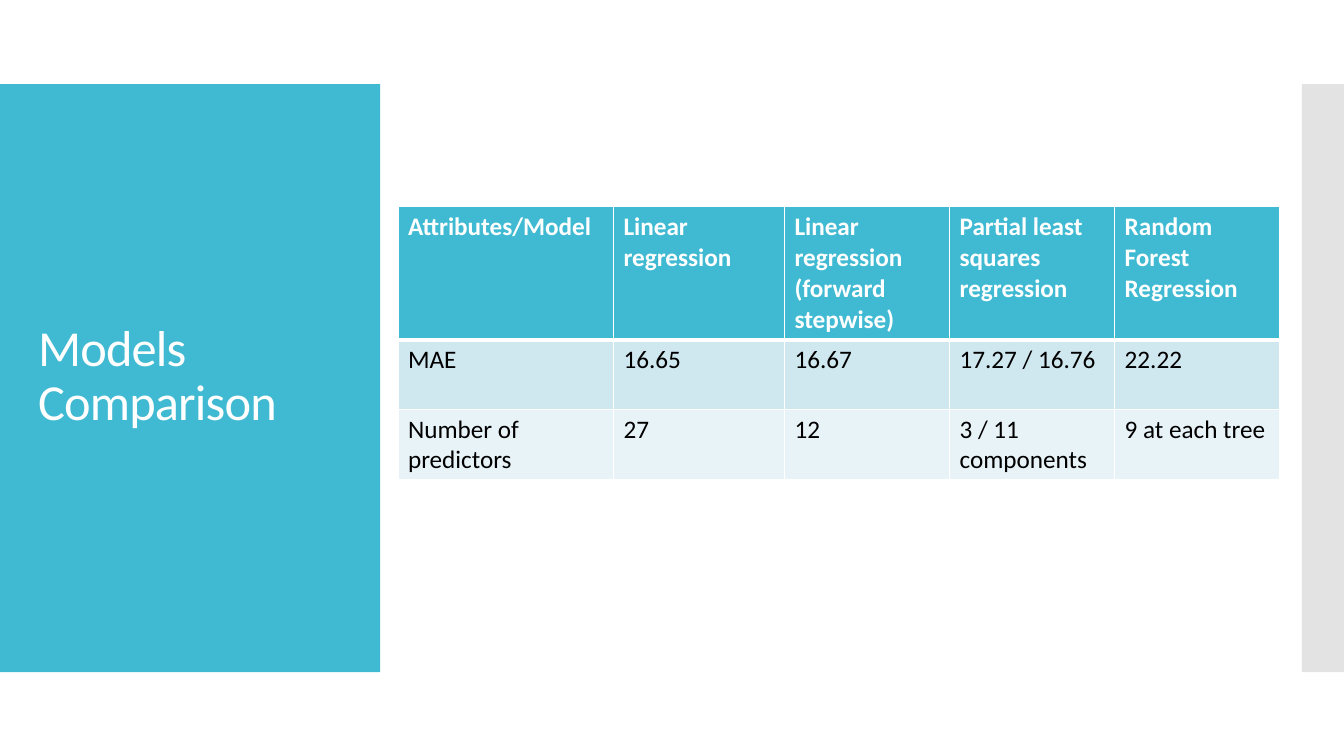
from lxml import etree
from pptx import Presentation
from pptx.dml.color import RGBColor
from pptx.enum.shapes import MSO_SHAPE
from pptx.enum.text import MSO_ANCHOR
from pptx.oxml.ns import qn
from pptx.util import Cm, Pt

RECTANGLE = MSO_SHAPE.RECTANGLE
MIDDLE = MSO_ANCHOR.MIDDLE

TITLE = "Models Comparison"
MODEL_ROWS = [
    ["Attributes/Model", "Linear regression", "Linear regression (forward stepwise)",
     "Partial least squares regression", "Random Forest Regression"],
    ["MAE", "16.65", "16.67", "17.27 / 16.76", "22.22"],
    ["Number of predictors", "27", "12", "3 / 11 components", "9 at each tree"],
]

THEME = {
    "font": "Calibri",
    "title_size": 36,
    "table_size": 18,
    "accent": "40BAD2",
    "side_bar": "C8C8C8",
    "light": "FFFFFF",
    "dark": "000000",
    "row_fills": ["40BAD2", "CFE7EE", "E8F3F7"],
    "thin_border": 1,
    "header_border": 3,
}

SLIDE_WIDTH, SLIDE_HEIGHT = 33.87, 19.05
BAND_TOP, BAND_HEIGHT = 2.12, 14.82
TITLE_PANEL_WIDTH, SIDE_BAR_WIDTH = 9.58, 1.06
TITLE_BOX = (0.71, 3.12, 8.18, 12.78)
TABLE_LEFT, TABLE_TOP = 10.03, 5.21
COLUMN_WIDTHS = [5.43, 4.31, 4.16, 4.16, 4.16]
ROW_HEIGHTS = [3.35, 1.75, 1.75]


def style_font(font, size, color, bold=False):
    values = {"name": THEME["font"], "size": Pt(size), "bold": bold}
    for name, value in values.items():
        setattr(font, name, value)
    font.color.rgb = RGBColor.from_string(color)


def add_band(slide, left, width, color):
    """Add a borderless rectangle spanning the slide's middle band."""
    shape = slide.shapes.add_shape(
        RECTANGLE, Cm(left), Cm(BAND_TOP), Cm(width), Cm(BAND_HEIGHT))
    shape.shadow.inherit = False
    shape.fill.solid()
    shape.fill.fore_color.rgb = RGBColor.from_string(color)
    shape.line.fill.background()
    return shape


def set_opacity(shape, percent):
    color = shape.fill._xPr.find(qn("a:solidFill"))[0]
    etree.SubElement(color, qn("a:alpha"), val=str(percent * 1000))


def add_title(slide):
    frame = slide.shapes.add_textbox(*map(Cm, TITLE_BOX)).text_frame
    frame.word_wrap = True
    frame.vertical_anchor = MIDDLE
    paragraph = frame.paragraphs[0]
    paragraph.line_spacing = 0.9
    run = paragraph.add_run()
    run.text = TITLE
    style_font(run.font, THEME["title_size"], THEME["light"])
    run.font._element.set("spc", "-60")


def set_borders(cell, widths):
    """Draw the cell's sides; widths maps L, R, T, B (in that order) to points."""
    properties = cell._tc.get_or_add_tcPr()
    for index, (side, width) in enumerate(widths.items()):
        line = etree.Element(qn(f"a:ln{side}"), w=str(Pt(width)))
        fill = etree.SubElement(line, qn("a:solidFill"))
        etree.SubElement(fill, qn("a:srgbClr"), val=THEME["light"])
        properties.insert(index, line)


def add_model_table(slide):
    table = slide.shapes.add_table(
        len(MODEL_ROWS), len(COLUMN_WIDTHS), Cm(TABLE_LEFT), Cm(TABLE_TOP),
        Cm(sum(COLUMN_WIDTHS)), Cm(sum(ROW_HEIGHTS))).table
    for column, width in zip(table.columns, COLUMN_WIDTHS):
        column.width = Cm(width)
    for row, height in zip(table.rows, ROW_HEIGHTS):
        row.height = Cm(height)

    thin, thick = THEME["thin_border"], THEME["header_border"]
    for row_index, texts in enumerate(MODEL_ROWS):
        is_header = row_index == 0
        text_color = THEME["light"] if is_header else THEME["dark"]
        borders = {"L": thin, "R": thin,
                   "T": thick if row_index == 1 else thin,
                   "B": thick if is_header else thin}
        for column_index, text in enumerate(texts):
            cell = table.cell(row_index, column_index)
            cell.fill.solid()
            cell.fill.fore_color.rgb = RGBColor.from_string(THEME["row_fills"][row_index])
            set_borders(cell, borders)
            run = cell.text_frame.paragraphs[0].add_run()
            run.text = text
            style_font(run.font, THEME["table_size"], text_color, is_header)


def main():
    presentation = Presentation()
    presentation.slide_width = Cm(SLIDE_WIDTH)
    presentation.slide_height = Cm(SLIDE_HEIGHT)
    slide = presentation.slides.add_slide(presentation.slide_layouts[6])

    add_band(slide, 0, TITLE_PANEL_WIDTH, THEME["accent"])
    side_bar = add_band(slide, SLIDE_WIDTH - SIDE_BAR_WIDTH, SIDE_BAR_WIDTH, THEME["side_bar"])
    set_opacity(side_bar, 50)
    add_title(slide)
    add_model_table(slide)
    presentation.save("out.pptx")


if __name__ == "__main__":
    main()
